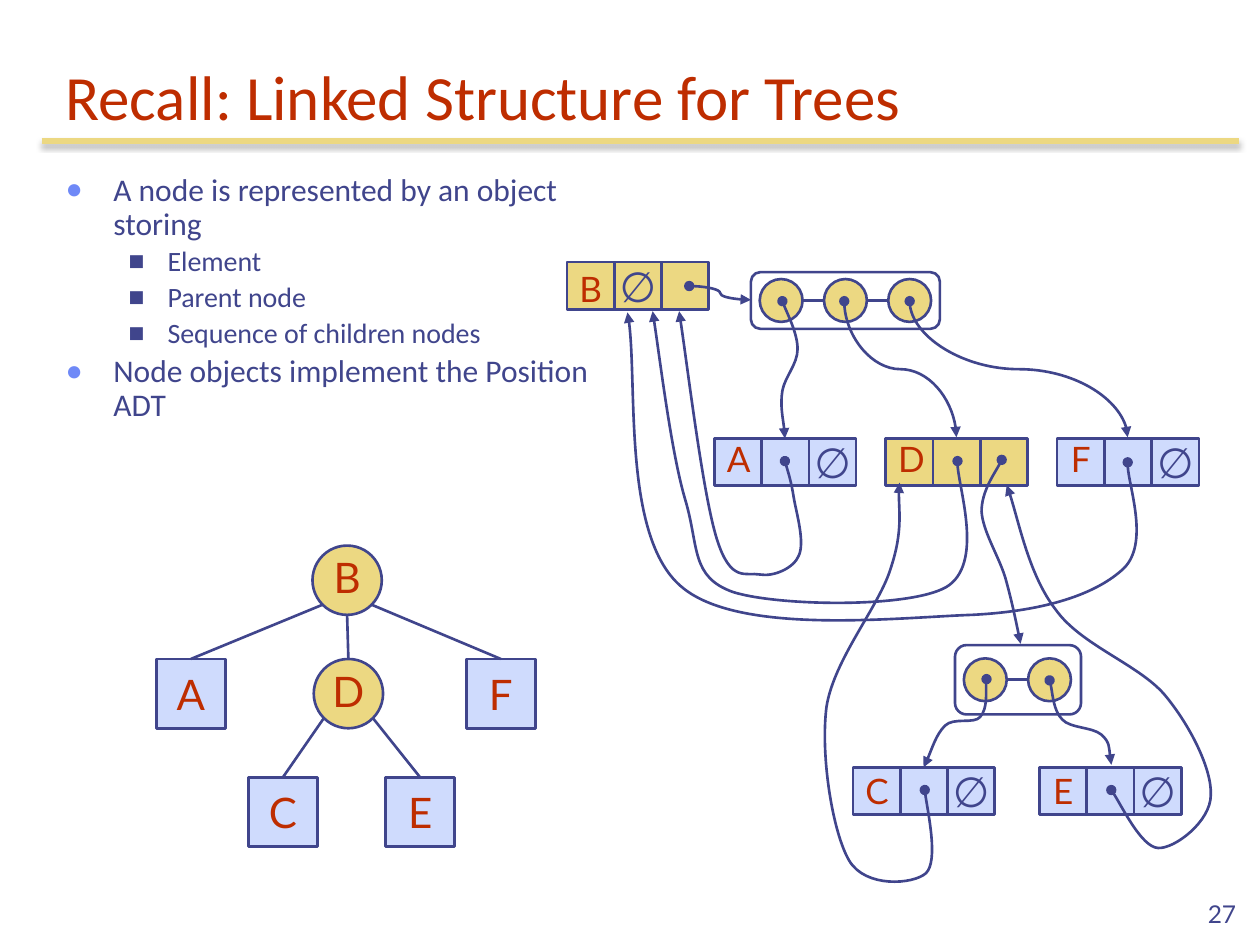
import math

import lxml.etree
import pptx
import pptx.dml.color
import pptx.enum.shapes
import pptx.enum.text
import pptx.oxml.ns
import pptx.util

Inches = pptx.util.Inches
Pt = pptx.util.Pt
qn = pptx.oxml.ns.qn
SHAPE = pptx.enum.shapes.MSO_SHAPE
CONNECTOR = pptx.enum.shapes.MSO_CONNECTOR
ALIGN = pptx.enum.text.PP_ALIGN
ANCHOR = pptx.enum.text.MSO_ANCHOR

THEME = {
    "ink": "40458C", "accent": "BE2D00", "gold": "ECD882", "blue": "CFDBFD", "bullet": "6F89F7",
    "heading_font": "Calibri", "label_font": "Lato",
    "title": 36, "levels": (18, 16), "node": 24, "letter": 20, "number": 14, "line": 1.5, "rule": 3,
}

TITLE = "Recall: Linked Structure for Trees"
BULLETS = [
    (0, "A node is represented by an object storing"),
    (1, "Element"),
    (1, "Parent node"),
    (1, "Sequence of children nodes"),
    (0, "Node objects implement the Position ADT"),
]
# level: indent, hanging, character, colour, size in percent
BULLET_STYLES = [(0.38, 0.38, "•", "bullet", 110), (0.81, 0.31, "■", "ink", 60)]
SLIDE_NUMBER = "27"

# letter: left, top, inner node
TREE_NODES = {
    "B": (2.48, 4.33, True), "D": (2.49, 5.23, True), "A": (1.24, 5.23, False),
    "C": (1.97, 6.17, False), "E": (3.06, 6.17, False), "F": (3.7, 5.23, False),
}
# parent, child, side of the parent circle on which the edge starts (-1 left, 0 middle, 1 right)
TREE_EDGES = [("B", "A", -1), ("B", "D", 0), ("B", "F", 1), ("D", "C", -1), ("D", "E", 1)]
NODE_SIZE = 0.55

# letter, left, top, fill, cell holding the null sign, rise of the letter box
RECORDS = [
    ("B", 4.5, 2.08, "gold", 1, 0.01), ("A", 5.67, 3.48, "blue", 2, 0.06),
    ("D", 7.03, 3.48, "gold", None, 0.06), ("F", 8.39, 3.48, "blue", 2, 0.06),
    ("C", 6.77, 6.09, "blue", 2, 0.03), ("E", 8.25, 6.09, "blue", 2, 0.03),
]
CELL = 0.375

# left, top, width, height, number of children
SEQUENCES = [(5.96, 2.16, 1.5, 0.45, 3), (7.58, 5.12, 1, 0.55, 2)]
DOT, DOT_STEP, DOT_INSET = 0.34, 0.51, 0.07

# start, end, leaves downwards
CONNECTED_POINTERS = [
    ((5.47, 2.27), (5.96, 2.38), False),
    ((6.7, 2.39), (7.59, 3.47), True),
    ((7.22, 2.39), (8.95, 3.47), True),
]
# start point, then three points for each Bézier segment
CURVED_POINTERS = [
    [(6.23, 3.66), (6.24, 3.7), (6.28, 3.82), (6.3, 3.95), (6.32, 4.07), (6.39, 4.3), (6.34, 4.41),
     (6.3, 4.51), (6.14, 4.58), (6.03, 4.56), (5.92, 4.54), (5.8, 4.63), (5.69, 4.28),
     (5.58, 3.93), (5.45, 2.85), (5.39, 2.47)],
    [(7.6, 3.66), (7.59, 3.82), (7.81, 4.48), (7.51, 4.66), (7.21, 4.83), (6.17, 4.81), (5.82, 4.7),
     (5.48, 4.58), (5.55, 4.34), (5.44, 3.97), (5.33, 3.6), (5.23, 2.78), (5.18, 2.47)],
    [(8.95, 3.67), (8.94, 3.81), (9.12, 4.31), (8.92, 4.51), (8.71, 4.71), (8.31, 4.85), (7.72, 4.88),
     (7.13, 4.9), (5.85, 5.05), (5.4, 4.65), (4.94, 4.25), (5.07, 2.93), (4.98, 2.48)],
    [(7.95, 3.65), (7.92, 3.72), (7.79, 3.9), (7.79, 4.06), (7.8, 4.22), (7.93, 4.42), (7.98, 4.59),
     (8.03, 4.77), (8.08, 5.01), (8.1, 5.11)],
    [(8.33, 5.4), (8.35, 5.45), (8.36, 5.64), (8.43, 5.71), (8.49, 5.78), (8.67, 5.77), (8.74, 5.83),
     (8.81, 5.89), (8.81, 6.02), (8.82, 6.07)],
    [(7.83, 5.39), (7.82, 5.44), (7.84, 5.62), (7.78, 5.69), (7.73, 5.75), (7.57, 5.69), (7.5, 5.76),
     (7.43, 5.83), (7.37, 6.02), (7.33, 6.09)],
    [(6.21, 2.39), (6.23, 2.45), (6.33, 2.65), (6.33, 2.77), (6.33, 2.89), (6.23, 2.99), (6.21, 3.1),
     (6.19, 3.22), (6.23, 3.4), (6.23, 3.48)],
    [(7.34, 6.27), (7.35, 6.38), (7.45, 6.83), (7.35, 6.93), (7.25, 7.02), (6.87, 7.05), (6.74, 6.83),
     (6.61, 6.61), (6.51, 6), (6.56, 5.61), (6.62, 5.23), (6.98, 4.81), (7.07, 4.51),
     (7.17, 4.21), (7.12, 3.97), (7.14, 3.83)],
    [(8.82, 6.27), (8.88, 6.35), (9.06, 6.72), (9.19, 6.73), (9.32, 6.74), (9.61, 6.52), (9.61, 6.31),
     (9.62, 6.11), (9.45, 5.76), (9.24, 5.51), (9.03, 5.27), (8.58, 5.12), (8.38, 4.84),
     (8.17, 4.57), (8.07, 4.06), (7.99, 3.85)],
]


def color(name):
    return pptx.dml.color.RGBColor.from_string(THEME[name])


def add_element(parent, tag, **attributes):
    return lxml.etree.SubElement(parent, qn(tag), {key: str(value) for key, value in attributes.items()})


def add_run(paragraph, text, size, ink, font="label_font"):
    run = paragraph.add_run()
    run.text = text
    run.font.size = Pt(size)
    run.font.name = THEME[font]
    run.font.color.rgb = color(ink)


def style_line(shape, ink="ink", width=THEME["line"]):
    shape.line.color.rgb = color(ink)
    shape.line.width = Pt(width)


def add_shape(slide, kind, left, top, width, height, fill=None):
    shape = slide.shapes.add_shape(kind, *map(Inches, (left, top, width, height)))
    shape.shadow.inherit = False
    if fill:
        shape.fill.solid()
        shape.fill.fore_color.rgb = color(fill)
    else:
        shape.fill.background()
    style_line(shape)
    return shape


def add_label(shape, text, size, ink, align=ALIGN.CENTER, anchor=ANCHOR.MIDDLE):
    frame = shape.text_frame
    frame.word_wrap = False
    frame.vertical_anchor = anchor
    frame.paragraphs[0].alignment = align
    add_run(frame.paragraphs[0], text, size, ink)


def add_line(slide, start, end, kind=CONNECTOR.STRAIGHT, ink="ink", width=THEME["line"]):
    """Return the connector and its empty effect list."""
    connector = slide.shapes.add_connector(kind, *map(Inches, (*start, *end)))
    style_line(connector, ink, width)
    return connector, add_element(connector.element.spPr, "a:effectLst")


def add_pointer_ends(shape):
    line = shape.element.spPr.find(qn("a:ln"))
    add_element(line, "a:headEnd", type="oval")
    add_element(line, "a:tailEnd", type="triangle")


def add_frame(slide):
    _, effects = add_line(slide, (0.33, 1.12), (9.83, 1.12), ink="gold", width=THEME["rule"])
    shadow = add_element(effects, "a:outerShdw", blurRad=Pt(3.1), dist=Pt(1.8), dir=5400000)
    add_element(add_element(shadow, "a:srgbClr", val="000000"), "a:alpha", val=35000)
    number = slide.shapes.add_textbox(*map(Inches, (7.83, 6.92, 2.08, 0.5)))
    add_label(number, SLIDE_NUMBER, THEME["number"], "ink", ALIGN.RIGHT, ANCHOR.BOTTOM)
    number.text_frame.word_wrap = True


def place(placeholder, left, top, width, height, anchor):
    placeholder.left, placeholder.top = Inches(left), Inches(top)
    placeholder.width, placeholder.height = Inches(width), Inches(height)
    frame = placeholder.text_frame
    frame.auto_size = pptx.enum.text.MSO_AUTO_SIZE.NONE
    frame.vertical_anchor = anchor
    return frame


def fill_placeholders(slide):
    heading = place(slide.shapes.title, 0.42, 0.33, 9.33, 0.78, ANCHOR.BOTTOM).paragraphs[0]
    heading.alignment = ALIGN.LEFT
    add_run(heading, TITLE, THEME["title"], "accent", "heading_font")
    frame = place(slide.placeholders[1], 0.42, 1.33, 4.42, 5.76, ANCHOR.TOP)
    for index, (level, text) in enumerate(BULLETS):
        paragraph = frame.add_paragraph() if index else frame.paragraphs[0]
        size = THEME["levels"][level]
        indent, hanging, character, ink, percent = BULLET_STYLES[level]
        paragraph.level = level
        paragraph.line_spacing = 0.9
        paragraph.space_before = Pt(0.2 * size if index else 0)
        properties = paragraph._p.get_or_add_pPr()
        properties.set("marL", str(Inches(indent)))
        properties.set("indent", str(-Inches(hanging)))
        add_element(add_element(properties, "a:buClr"), "a:srgbClr", val=THEME[ink])
        add_element(properties, "a:buSzPct", val=percent * 1000)
        add_element(properties, "a:buFont", typeface=THEME["heading_font"])
        add_element(properties, "a:buChar", char=character)
        add_run(paragraph, text, size, "ink", "heading_font")


def add_tree(slide):
    nodes = {}
    for letter, (left, top, inner) in TREE_NODES.items():
        kind, fill = (SHAPE.OVAL, "gold") if inner else (SHAPE.RECTANGLE, "blue")
        node = nodes[letter] = add_shape(slide, kind, left, top, NODE_SIZE, NODE_SIZE, fill)
        add_label(node, letter, THEME["node"], "accent")
        if inner:
            frame = node.text_frame
            frame.margin_left = frame.margin_right = frame.margin_top = 0
    radius = NODE_SIZE / 2
    for parent, child, side in TREE_EDGES:
        left, top, _ = TREE_NODES[parent]
        angle = math.radians(90 - 45 * side)
        start = left + radius * (1 + math.cos(angle)), top + radius * (1 + math.sin(angle))
        edge, _ = add_line(slide, start, TREE_NODES[child][:2])
        edge.end_connect(nodes[child], 0)


def add_record(slide, letter, left, top, fill, null_cell, rise):
    for index in range(3):
        cell = add_shape(slide, SHAPE.RECTANGLE, left + index * CELL, top, CELL, CELL, fill)
        if index == null_cell:
            add_label(cell, "∅", THEME["node"], "ink")
    box = slide.shapes.add_textbox(*map(Inches, (left, top - rise, CELL, 0.43)))
    add_label(box, letter, THEME["letter"], "accent", anchor=ANCHOR.TOP)


def add_sequence(slide, left, top, width, height, count):
    add_shape(slide, SHAPE.ROUNDED_RECTANGLE, left, top, width, height)
    middle = top + height / 2
    for index in range(count):
        dot_left = left + DOT_INSET + index * DOT_STEP
        add_shape(slide, SHAPE.OVAL, dot_left, middle - DOT / 2, DOT, DOT, "gold")
        if index:
            add_line(slide, (dot_left - DOT_STEP + DOT, middle), (dot_left, middle))


def add_connected_pointer(slide, start, end, downwards):
    """A curve that leaves downwards is a sideways one turned by 270 degrees."""
    (x1, y1), (x2, y2) = start, end
    if downwards:
        x, y, half_width, half_height = (x1 + x2) / 2, (y1 + y2) / 2, (y2 - y1) / 2, (x2 - x1) / 2
        start, end = (x + half_width, y - half_height), (x - half_width, y + half_height)
    connector, _ = add_line(slide, start, end, CONNECTOR.CURVE)
    connector.rotation = 270 if downwards else 0
    add_pointer_ends(connector)


def add_curved_pointer(slide, points):
    start, *rest = [(Inches(x), Inches(y)) for x, y in points]
    builder = slide.shapes.build_freeform(*start)
    builder.add_line_segments(rest, close=False)
    curve = builder.convert_to_shape()
    curve.shadow.inherit = False
    curve.fill.background()
    style_line(curve)
    add_pointer_ends(curve)
    steps = list(curve.element.iter(qn("a:lnTo")))
    outline = steps[0].getparent()
    for first in range(0, len(steps), 3):
        segment = add_element(outline, "a:cubicBezTo")
        for step in steps[first:first + 3]:
            segment.append(step[0])
            outline.remove(step)


def main():
    presentation = pptx.Presentation()
    presentation.slide_width, presentation.slide_height = Inches(10), Inches(7.5)
    slide = presentation.slides.add_slide(presentation.slide_layouts[1])
    add_frame(slide)
    fill_placeholders(slide)
    add_tree(slide)
    for add, items in ((add_record, RECORDS), (add_sequence, SEQUENCES),
                       (add_connected_pointer, CONNECTED_POINTERS)):
        for item in items:
            add(slide, *item)
    for points in CURVED_POINTERS:
        add_curved_pointer(slide, points)
    presentation.save("out.pptx")


if __name__ == "__main__":
    main()
